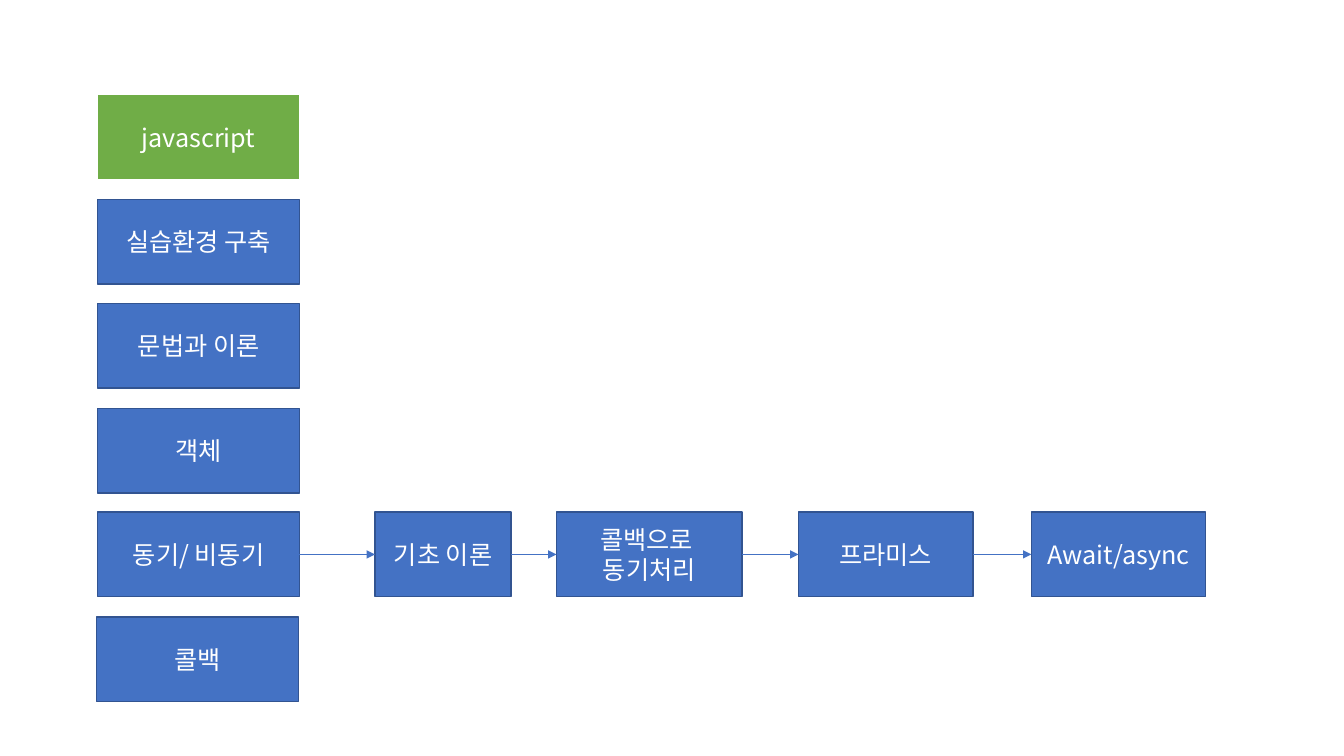
from dataclasses import dataclass
from itertools import pairwise

from lxml.etree import SubElement
from pptx import Presentation
from pptx.dml.color import RGBColor as Rgb
from pptx.enum.shapes import MSO_CONNECTOR as Link, MSO_SHAPE as Form
from pptx.enum.text import MSO_ANCHOR as Anchor, PP_ALIGN as Align
from pptx.oxml.ns import qn
from pptx.shapes.autoshape import Shape
from pptx.slide import Slide
from pptx.util import Pt

SCALE = 9144
FONT = "Noto Sans CJK KR"
COLORS = {
    "green": "70AD47",
    "blue": "4472C4",
    "navy": "325491",
    "white": "FFFFFF",
}
HIGH = 84
WIDE = 200
LEFT = 97
TOP = 94
PITCH = 103.6


@dataclass
class Box:
    text: str
    left: int
    top: int
    width: int
    fill: str = "blue"
    edge: str = "navy"


def px(size: int) -> int:
    return size * SCALE


def color(name: str) -> Rgb:
    return Rgb.from_string(COLORS[name])


def level(row: int) -> int:
    return TOP + round(row * PITCH)


def draw_box(slide: Slide, box: Box) -> Shape:
    shape = slide.shapes.add_shape(
        Form.RECTANGLE, px(box.left), px(box.top), px(box.width), px(HIGH)
    )
    shape.shadow.inherit = False
    shape.fill.solid()
    shape.fill.fore_color.rgb = color(box.fill)
    shape.line.color.rgb = color(box.edge)
    shape.line.width = Pt(1)
    frame = shape.text_frame
    frame.text = box.text
    frame.word_wrap = True
    frame.vertical_anchor = Anchor.MIDDLE
    for para in frame.paragraphs:
        para.alignment = Align.CENTER
        for run in para.runs:
            run.font.size = Pt(18)
            run.font.name = FONT
            run.font.color.rgb = color("white")
            SubElement(run.font._element, qn("a:ea"), typeface=FONT)
    return shape


def draw_arrow(slide: Slide, start: Shape, end: Shape) -> None:
    arrow = slide.shapes.add_connector(Link.STRAIGHT, 0, 0, 0, 0)
    arrow.begin_connect(start, 3)
    arrow.end_connect(end, 1)
    arrow.line.color.rgb = color("blue")
    arrow.line.width = Pt(0.5)
    SubElement(arrow.line._get_or_add_ln(), qn("a:tailEnd"), type="triangle")
    SubElement(arrow._element.spPr, qn("a:effectLst"))


TOPICS = [
    Box("javascript", LEFT, level(0), WIDE, "green", "white"),
    Box("실습환경 구축", LEFT, level(1), WIDE),
    Box("문법과 이론", LEFT, level(2), WIDE),
    Box("객체", LEFT, level(3), WIDE),
    Box("동기/ 비동기", LEFT, level(4), WIDE),
    Box("콜백", LEFT - 1, level(5), WIDE),
]
STEPS = [
    Box("기초 이론", 372, level(4), 135),
    Box("콜백으로 \n동기처리", 552, level(4), 184),
    Box("프라미스", 792, level(4), 173),
    Box("Await/async", 1023, level(4), 173),
]


def main() -> None:
    deck = Presentation()
    deck.slide_width = px(1333)
    deck.slide_height = px(750)
    slide = deck.slides.add_slide(deck.slide_layouts[6])
    topics = [draw_box(slide, box) for box in TOPICS]
    steps = [draw_box(slide, box) for box in STEPS]
    for start, end in pairwise([topics[4], *steps]):
        draw_arrow(slide, start, end)
    deck.save("out.pptx")


if __name__ == "__main__":
    main()
